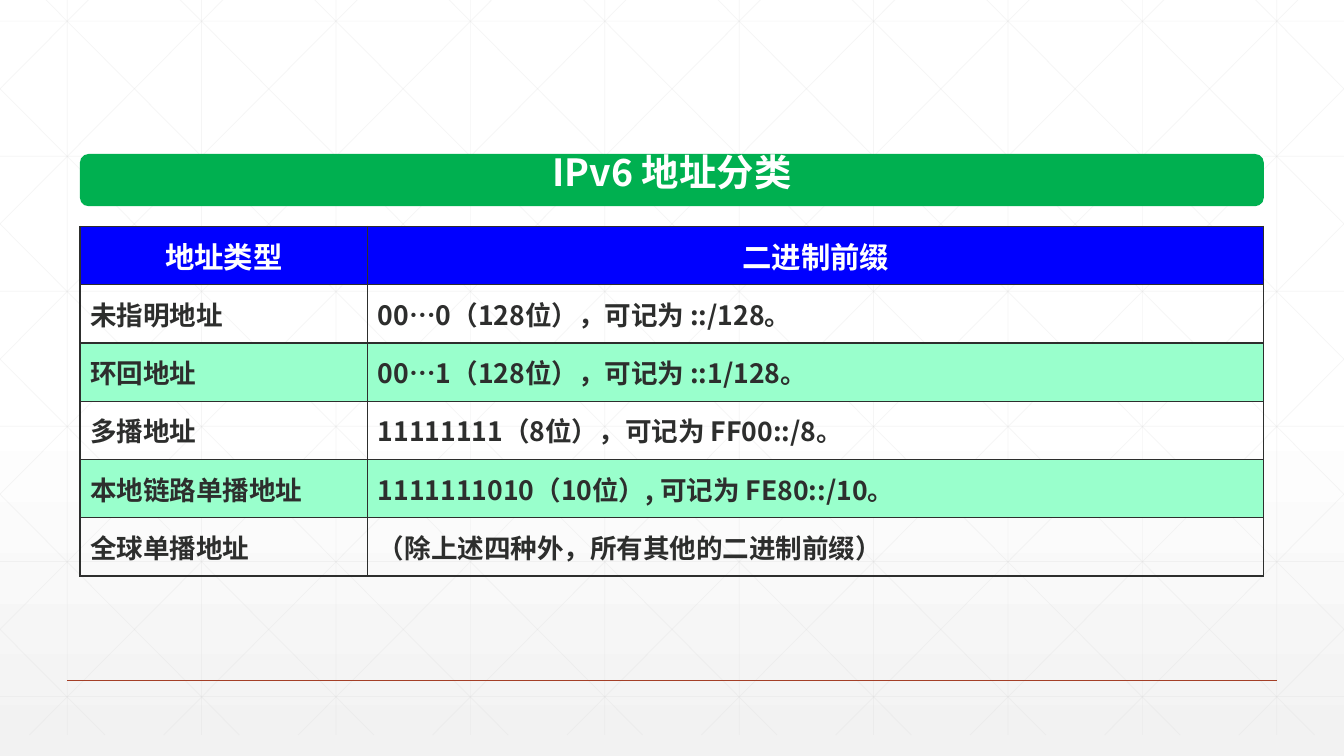
from dataclasses import dataclass

from lxml import etree
from pptx import Presentation
from pptx.dml.color import RGBColor
from pptx.enum.shapes import MSO_CONNECTOR, MSO_SHAPE
from pptx.enum.text import MSO_ANCHOR, PP_ALIGN
from pptx.oxml.ns import qn
from pptx.slide import Slide
from pptx.table import _Cell
from pptx.text.text import TextFrame
from pptx.util import Pt

STRAIGHT = MSO_CONNECTOR.STRAIGHT
ROUNDED = MSO_SHAPE.ROUNDED_RECTANGLE
CENTER, JUSTIFY = PP_ALIGN.CENTER, PP_ALIGN.JUSTIFY
MIDDLE, TOP = MSO_ANCHOR.MIDDLE, MSO_ANCHOR.TOP

PAGE_WIDTH, PAGE_HEIGHT = 960, 540
GRID_TOP, GRID_BOTTOM = -15, 525
GRID_STEP = 96
DIAGONAL_RUN = 537
LEFT, WIDTH = 57.1, 845.7
TYPE_COLUMN = 205.7
ROW_HEIGHT = 41.64


@dataclass(frozen=True)
class Theme:
    font: str = "Noto Sans CJK SC"
    white: str = "FFFFFF"
    shade: str = "F2F2F2"
    grid: str = "D9D9D9"
    rule: str = "A43F27"
    banner: str = "00B050"
    header: str = "0000FF"
    band: str = "99FFCC"
    ink: str = "2D2E2D"
    title_size: float = 26.7
    header_size: float = 21
    body_size: float = 19


@dataclass(frozen=True)
class Line:
    x1: float
    y1: float
    x2: float
    y2: float
    color: str
    width: float = 0.5
    opacity: int = 100


@dataclass(frozen=True)
class TextStyle:
    size: float
    color: str
    align: PP_ALIGN
    anchor: MSO_ANCHOR = MIDDLE
    side_inset: float = 7.2


@dataclass(frozen=True)
class AddressType:
    name: str
    prefix: str


THEME = Theme()
TITLE = TextStyle(THEME.title_size, THEME.white, CENTER, TOP, 0)
HEADER = TextStyle(THEME.header_size, THEME.white, CENTER)
BODY = TextStyle(THEME.body_size, THEME.ink, JUSTIFY)

ADDRESS_ROWS = [
    AddressType("地址类型", "二进制前缀"),
    AddressType("未指明地址", "00…0（128位），可记为 ::/128。"),
    AddressType("环回地址", "00…1（128位），可记为 ::1/128。"),
    AddressType("多播地址", "11111111（8位），可记为 FF00::/8。"),
    AddressType("本地链路单播地址", "1111111010（10位）, 可记为 FE80::/10。"),
    AddressType("全球单播地址", "（除上述四种外，所有其他的二进制前缀）"),
]


def rgb(color: str) -> RGBColor:
    return RGBColor.from_string(color)


def grid_line(x1: float, y1: float, x2: float, y2: float) -> Line:
    return Line(x1, y1, x2, y2, THEME.grid, opacity=25)


def grid_lines() -> list[Line]:
    """Square grid plus mirrored diagonals, clipped at the page's sides."""
    lines = [grid_line(x, GRID_TOP, x, GRID_BOTTOM)
             for x in range(48, PAGE_WIDTH, GRID_STEP)]
    for row in range(6):
        y = 15.1 + 96.48 * row
        lines.append(grid_line(0, y, PAGE_WIDTH, y))
    slope = (GRID_BOTTOM - GRID_TOP) / DIAGONAL_RUN
    for column in range(-5, 10):
        start = 18 + GRID_STEP * column
        x1, x2 = max(start, 0), min(start + DIAGONAL_RUN, PAGE_WIDTH)
        y1, y2 = (GRID_TOP + (x - start) * slope for x in (x1, x2))
        lines.append(grid_line(x1, y1, x2, y2))
        lines.append(grid_line(PAGE_WIDTH - x1, y1, PAGE_WIDTH - x2, y2))
    return lines


def draw_line(page: Slide, line: Line) -> None:
    connector = page.shapes.add_connector(
        STRAIGHT, Pt(line.x1), Pt(line.y1), Pt(line.x2), Pt(line.y2))
    connector.line.width = Pt(line.width)
    connector.line.color.rgb = rgb(line.color)
    properties = connector._element.spPr
    if line.opacity < 100:
        color = properties.find(".//" + qn("a:srgbClr"))
        etree.SubElement(color, qn("a:alpha"), val=str(line.opacity * 1000))
    etree.SubElement(properties, qn("a:effectLst"))


def write_text(frame: TextFrame, text: str, style: TextStyle) -> None:
    para = frame.paragraphs[0]
    para.alignment = style.align
    span = para.add_run()
    span.text = text
    formats = {"name": THEME.font, "size": Pt(style.size), "bold": True}
    for name, value in formats.items():
        setattr(span.font, name, value)
    span.font.color.rgb = rgb(style.color)
    etree.SubElement(span._r.get_or_add_rPr(), qn("a:ea"), typeface=THEME.font)


def set_layout(target: TextFrame | _Cell, style: TextStyle) -> None:
    side = Pt(style.side_inset)
    layout = {"margin_left": side, "margin_right": side, "margin_top": 0,
              "margin_bottom": 0, "vertical_anchor": style.anchor}
    for name, value in layout.items():
        setattr(target, name, value)


def add_borders(cell: _Cell) -> None:
    properties = cell._tc.get_or_add_tcPr()
    for side in ("a:lnL", "a:lnR", "a:lnT", "a:lnB"):
        border = etree.SubElement(properties, qn(side), w=str(Pt(1)))
        fill = etree.SubElement(border, qn("a:solidFill"))
        etree.SubElement(fill, qn("a:srgbClr"), val=THEME.ink)


def paint_background(page: Slide) -> None:
    fill = page.background.fill
    fill.gradient()
    fill.gradient_angle = 270
    stops = ((0.53, THEME.white), (1, THEME.shade))
    for stop, (position, color) in zip(fill.gradient_stops, stops):
        stop.position = position
        stop.color.rgb = rgb(color)


def draw_banner(page: Slide) -> None:
    banner = page.shapes.add_shape(ROUNDED, Pt(LEFT), Pt(110), Pt(WIDTH), Pt(37.3))
    banner.adjustments[0] = 0.167
    banner.shadow.inherit = False
    banner.fill.solid()
    banner.fill.fore_color.rgb = rgb(THEME.banner)
    banner.line.fill.background()
    box = page.shapes.add_textbox(Pt(204), Pt(106.5), Pt(552), Pt(39.5))
    box.text_frame.word_wrap = True
    set_layout(box.text_frame, TITLE)
    write_text(box.text_frame, "IPv6 地址分类", TITLE)


def draw_table(page: Slide) -> None:
    count = len(ADDRESS_ROWS)
    table = page.shapes.add_table(
        count, 2, Pt(LEFT), Pt(161.8), Pt(WIDTH), Pt(ROW_HEIGHT * count)).table
    table.first_row = table.horz_banding = False
    for column, width in zip(table.columns, (TYPE_COLUMN, WIDTH - TYPE_COLUMN)):
        column.width = Pt(width)
    for index, address in enumerate(ADDRESS_ROWS):
        table.rows[index].height = Pt(ROW_HEIGHT)
        style = BODY if index else HEADER
        for cell, text in zip(table.rows[index].cells, (address.name, address.prefix)):
            set_layout(cell, style)
            write_text(cell.text_frame, text, style)
            add_borders(cell)
            if index % 2:
                cell.fill.background()
            else:
                cell.fill.solid()
                cell.fill.fore_color.rgb = rgb(THEME.band if index else THEME.header)


def main() -> None:
    deck = Presentation()
    deck.slide_width, deck.slide_height = Pt(PAGE_WIDTH), Pt(PAGE_HEIGHT)
    page = deck.slides.add_slide(deck.slide_layouts[6])
    paint_background(page)
    footer_rule = Line(48, 486, 912, 486, THEME.rule, width=1)
    for line in [*grid_lines(), footer_rule]:
        draw_line(page, line)
    draw_banner(page)
    draw_table(page)
    deck.save("out.pptx")


if __name__ == "__main__":
    main()
